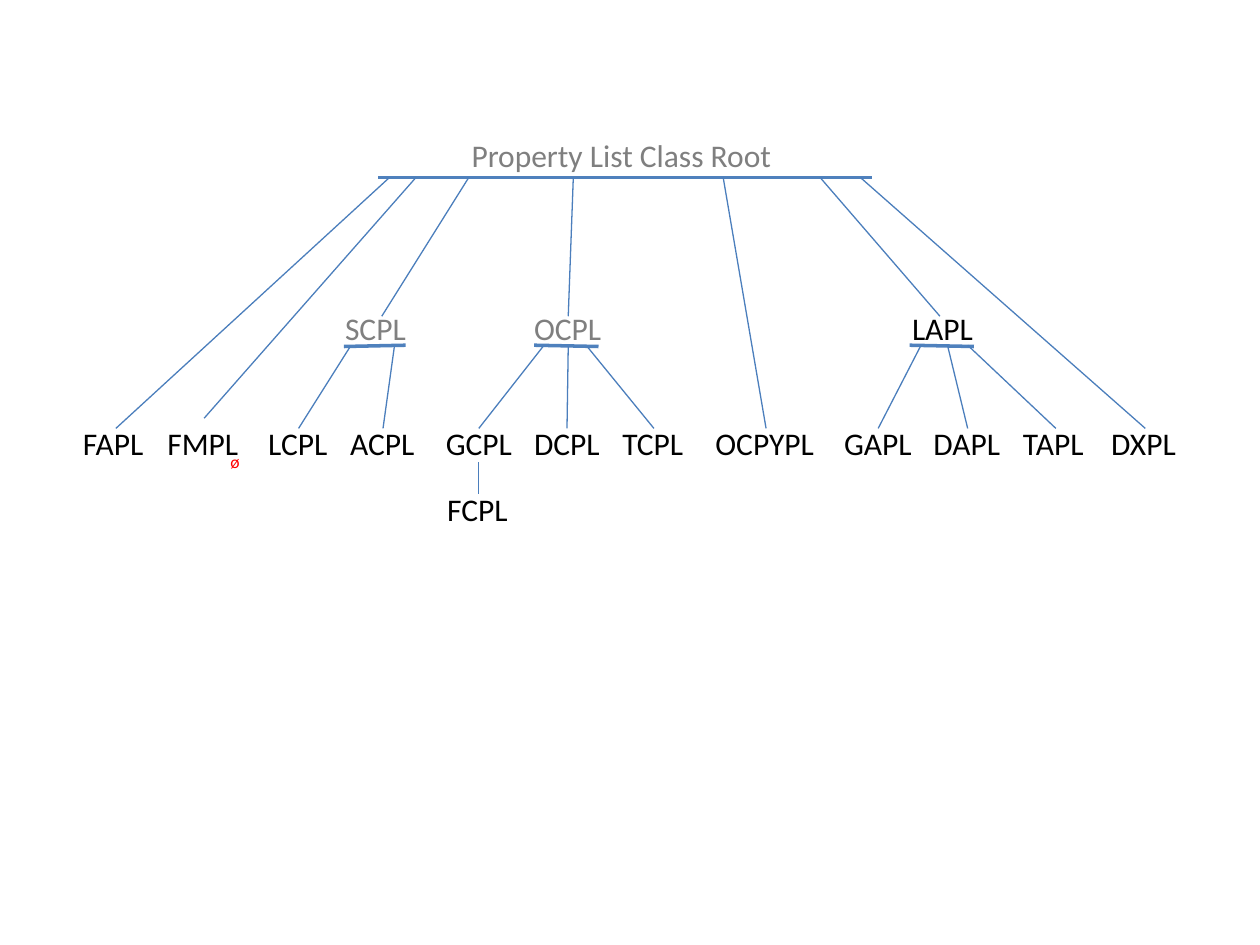
from lxml import etree
from pptx import Presentation
from pptx.dml.color import RGBColor
from pptx.enum.shapes import MSO_CONNECTOR as Connector
from pptx.enum.text import MSO_ANCHOR as Anchor, MSO_AUTO_SIZE as AutoSize, PP_ALIGN as Align
from pptx.oxml.ns import qn
from pptx.util import Inches, Pt

BLACK = RGBColor(0x00, 0x00, 0x00)
GRAY = RGBColor(0x7F, 0x7F, 0x7F)
SCPL_GRAY = RGBColor(0x80, 0x80, 0x80)
RED = RGBColor(0xFF, 0x00, 0x00)
BAR_BLUE = RGBColor(0x4F, 0x81, 0xBD)
BRANCH_BLUE = RGBColor(0x4B, 0x7E, 0xBC)

ROOT_Y = 1.41
CLASS_Y = 2.4
CLASS_TOP = 2.51
LEAF_Y = 3.32
LEAF_TOP = 3.4


class TreeSlide:
    font = "Calibri"

    def __init__(self, slide):
        self.slide = slide

    def style(self, frame, size, color):
        for run in frame.paragraphs[0].runs:
            run.font.name = self.font
            run.font.size = Pt(size)
            run.font.color.rgb = color

    def title(self, text, left, top, width, height, color):
        root = self.slide.shapes.title
        root.left, root.top = Inches(left), Inches(top)
        root.width, root.height = Inches(width), Inches(height)
        frame = root.text_frame
        frame.text = text
        frame.vertical_anchor = Anchor.TOP
        frame.auto_size = AutoSize.NONE
        frame.paragraphs[0].alignment = Align.CENTER
        self.style(frame, 18, color)

    def label(self, text, left, top, width, color=BLACK, size=18, height=0.4):
        box = self.slide.shapes.add_textbox(
            Inches(left), Inches(top), Inches(width), Inches(height))
        frame = box.text_frame
        frame.text = text
        frame.word_wrap = False
        frame.auto_size = AutoSize.SHAPE_TO_FIT_TEXT
        self.style(frame, size, color)

    def line(self, x1, y1, x2, y2, color=BRANCH_BLUE, weight=0.75):
        connector = self.slide.shapes.add_connector(
            Connector.STRAIGHT, Inches(x1), Inches(y1), Inches(x2), Inches(y2))
        connector.line.color.rgb = color
        connector.line.width = Pt(weight)
        etree.SubElement(connector._element.spPr, qn("a:effectLst"))

    def bar(self, x1, y1, x2, y2):
        self.line(x1, y1, x2, y2, BAR_BLUE, 2)


def main():
    deck = Presentation()
    deck.slide_width, deck.slide_height = Inches(10), Inches(7.5)
    tree = TreeSlide(deck.slides.add_slide(deck.slide_layouts[5]))

    # Root class
    tree.title("Property List Class Root ", 3.03, 1.03, 3.86, 0.4, GRAY)
    tree.bar(3, ROOT_Y, 6.92, ROOT_Y)

    # Leaf classes: name, left, width
    leaves = [
        ("FAPL", 0.56, 0.71), ("FMPL", 1.23, 0.78), ("LCPL", 2.03, 0.68),
        ("ACPL", 2.68, 0.72), ("GCPL", 3.44, 0.73), ("DCPL", 4.14, 0.73),
        ("TCPL", 4.84, 0.71), ("OCPYPL", 5.58, 1), ("GAPL", 6.6, 0.75),
        ("DAPL", 7.31, 0.75), ("TAPL", 8.02, 0.71), ("DXPL", 8.72, 0.73),
    ]
    for name, left, width in leaves:
        tree.label(name, left, LEAF_Y, width)

    # Branches from the root: start x, end x, end y
    root_branches = [
        (3.09, 0.92, LEAF_TOP), (3.3, 1.62, 3.32), (3.72, 3.03, CLASS_TOP),
        (4.55, 4.51, CLASS_TOP), (5.74, 6.08, LEAF_TOP),
        (6.51, 7.46, CLASS_TOP), (6.83, 9.09, LEAF_TOP),
    ]
    for start, end, end_y in root_branches:
        tree.line(start, ROOT_Y, end, end_y)

    # Middle classes: name, left, width, colour, bar ends, branch y, branches
    classes = [
        ("SCPL", 2.64, 0.69, SCPL_GRAY, (2.73, 2.75, 3.22, 2.74), 2.75,
         [(2.78, 2.37), (3.13, 3.04)]),
        ("OCPL", 4.14, 0.75, GRAY, (4.24, 2.74, 4.75, 2.75), 2.75,
         [(4.31, 3.8), (4.51, 4.5), (4.66, 5.19)]),
        ("LAPL", 7.14, 0.83, BLACK, (7.22, 2.74, 7.73, 2.75), 2.74,
         [(7.31, 6.97), (7.52, 7.68), (7.68, 8.38)]),
    ]
    for name, left, width, color, bar_ends, branch_y, branches in classes:
        tree.label(name, left, CLASS_Y, width, color)
        tree.bar(*bar_ends)
        for start, end in branches:
            tree.line(start, branch_y, end, LEAF_TOP)

    # Child of GCPL
    tree.label("FCPL", 3.45, 3.84, 0.71)
    tree.line(3.8, 3.67, 3.8, 3.92)

    # Mark on FMPL
    tree.label("ø", 1.73, 3.53, 0.28, RED, size=10, height=0.27)

    deck.save("out.pptx")


if __name__ == "__main__":
    main()
